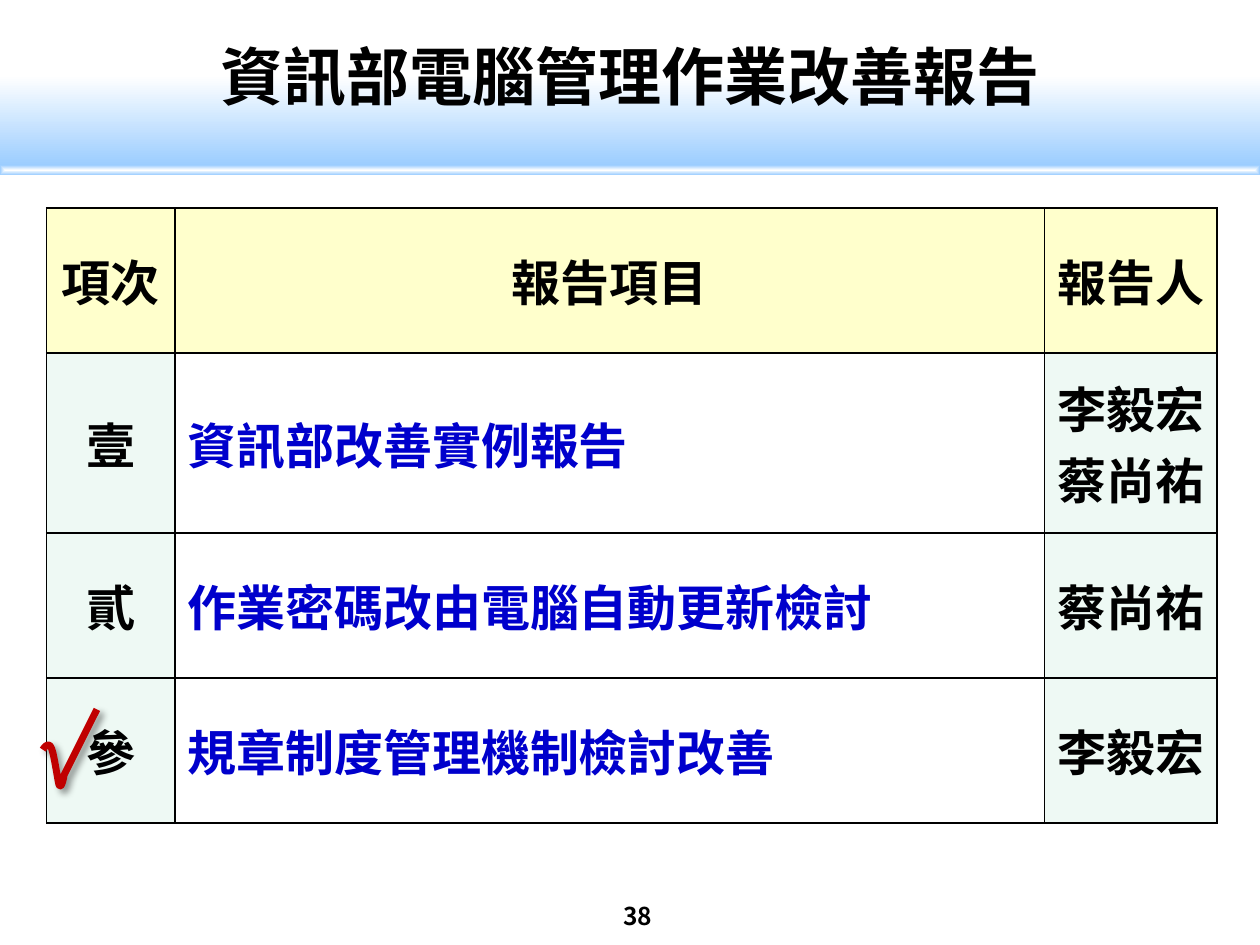
from dataclasses import dataclass

from lxml.etree import SubElement
from pptx import Presentation
from pptx.dml.color import RGBColor
from pptx.enum.shapes import MSO_SHAPE
from pptx.enum.text import MSO_ANCHOR, PP_ALIGN
from pptx.oxml import parse_xml
from pptx.oxml.ns import qn
from pptx.util import Pt

FONT = "Noto Sans CJK SC"
DRAWING = 'xmlns:a="http://schemas.openxmlformats.org/drawingml/2006/main"'
BLACK, WHITE, SKY, BLUE = "000000", "FFFFFF", "99CCFF", "0000CC"
CREAM, MINT, RED = "FFFFCC", "EEF9F4", "C00000"
COLUMN_WIDTHS = (73.4, 496.8, 98.7)
ROW_HEIGHTS = (82.8, 103, 82.8, 82.8)


@dataclass
class Report:
    number: str
    topic: str
    speakers: str


HEADINGS = ("項次", "報告項目", "報告人")
REPORTS = (
    Report("壹", "資訊部改善實例報告", "李毅宏\n蔡尚祐"),
    Report("貳", "作業密碼改由電腦自動更新檢討", "蔡尚祐"),
    Report("參", "規章制度管理機制檢討改善", "李毅宏"),
)


def color(value: str) -> RGBColor:
    return RGBColor.from_string(value)


def write(frame, text: str, *, size: float, ink: str = BLACK, align=PP_ALIGN.CENTER) -> None:
    frame.word_wrap = True
    for index, line in enumerate(text.split("\n")):
        para = frame.paragraphs[0] if index == 0 else frame.add_paragraph()
        para.alignment = align
        span = para.add_run()
        span.text = line
        span.font.size = Pt(size)
        span.font.bold = True
        span.font.name = FONT
        span.font.color.rgb = color(ink)
        SubElement(span.font._element, qn("a:ea"), typeface=FONT)


def add_label(page, text: str, left, top, width, height, *, size: float, anchor) -> None:
    box = page.shapes.add_textbox(Pt(left), Pt(top), Pt(width), Pt(height))
    frame = box.text_frame
    frame.margin_left = frame.margin_right = frame.margin_top = frame.margin_bottom = 0
    frame.vertical_anchor = anchor
    write(frame, text, size=size)


def add_band(page, top: float, height: float, *, from_center: bool = False) -> None:
    band = page.shapes.add_shape(MSO_SHAPE.RECTANGLE, 0, Pt(top), Pt(720), Pt(height))
    band.shadow.inherit = False
    band.line.fill.background()
    band.fill.gradient()
    band.fill.gradient_angle = 270
    for stop, shade, position in zip(band.fill.gradient_stops, (WHITE, SKY), (0, 1)):
        stop.color.rgb = color(shade)
        stop.position = position
    if from_center:
        linear = band._element.spPr.find(f".//{qn('a:lin')}")
        linear.getparent().replace(linear, parse_xml(
            f'<a:path {DRAWING} path="shape">'
            '<a:fillToRect l="50000" t="50000" r="50000" b="50000"/></a:path>'))


def fill_cell(cell, text: str, *, fill: str, ink: str = BLACK, align=PP_ALIGN.CENTER) -> None:
    properties = cell._tc.get_or_add_tcPr()
    for side in "LRTB":
        properties.append(parse_xml(
            f'<a:ln{side} {DRAWING} w="{Pt(1)}"><a:solidFill>'
            f'<a:srgbClr val="{BLACK}"/></a:solidFill></a:ln{side}>'))
    cell.fill.solid()
    cell.fill.fore_color.rgb = color(fill)
    cell.vertical_anchor = MSO_ANCHOR.MIDDLE
    write(cell.text_frame, text, size=28, ink=ink, align=align)


def add_agenda(page) -> None:
    table = page.shapes.add_table(
        len(ROW_HEIGHTS), len(COLUMN_WIDTHS), Pt(26.6), Pt(118.8),
        Pt(sum(COLUMN_WIDTHS)), Pt(sum(ROW_HEIGHTS))).table
    table.first_row = table.horz_banding = False
    for column, width in zip(table.columns, COLUMN_WIDTHS):
        column.width = Pt(width)
    for row, height in zip(table.rows, ROW_HEIGHTS):
        row.height = Pt(height)
    for index, heading in enumerate(HEADINGS):
        fill_cell(table.cell(0, index), heading, fill=CREAM)
    for index, report in enumerate(REPORTS, 1):
        fill_cell(table.cell(index, 0), report.number, fill=MINT)
        fill_cell(table.cell(index, 1), report.topic, fill=WHITE, ink=BLUE, align=PP_ALIGN.LEFT)
        fill_cell(table.cell(index, 2), report.speakers, fill=MINT)


def curve(start, first, second, end, steps: int = 10) -> list:
    points = []
    for step in range(1, steps + 1):
        t = step / steps
        u = 1 - t
        points.append(tuple(
            u**3 * a + 3 * u * u * t * b + 3 * u * t * t * c + t**3 * d
            for a, b, c, d in zip(start, first, second, end)))
    return points


def add_check_mark(page) -> None:
    start, crest, base, turn, tip = (
        (24.5, 428.4), (29.5, 427.7), (33.8, 448.6), (36.7, 442.8), (55.4, 405.4))
    points = (curve(start, (25.9, 426.2), (28.1, 424.1), crest)
              + curve(crest, (31, 431.3), (33.1, 446.4), base)
              + curve(base, (35.3, 451.4), (36.7, 442.8), turn) + [tip])
    builder = page.shapes.build_freeform(Pt(start[0]), Pt(start[1]))
    builder.add_line_segments([(Pt(x), Pt(y)) for x, y in points], close=False)
    mark = builder.convert_to_shape()
    mark.fill.background()
    mark.line.color.rgb = color(RED)
    mark.line.width = Pt(4)
    mark.shadow.inherit = False
    effects = mark._element.spPr.find(qn("a:effectLst"))
    effects.append(parse_xml(
        f'<a:outerShdw {DRAWING} blurRad="{Pt(4)}" dist="{Pt(3)}" dir="2700000">'
        f'<a:srgbClr val="{BLACK}"><a:alpha val="40000"/></a:srgbClr></a:outerShdw>'))


def main() -> None:
    """Build the agenda slide and save it."""
    deck = Presentation()
    deck.slide_width, deck.slide_height = Pt(720), Pt(540)
    page = deck.slides.add_slide(deck.slide_layouts[6])
    page.background.fill.solid()
    page.background.fill.fore_color.rgb = color(WHITE)
    add_band(page, 43.2, 52.6)
    add_band(page, 94.3, 5.8, from_center=True)
    add_label(page, "38", 330.5, 515, 67.7, 17.3, size=14, anchor=MSO_ANCHOR.TOP)
    add_agenda(page)
    add_check_mark(page)
    add_label(page, "資訊部電腦管理作業改善報告", 0, 20.9, 720, 43.9,
              size=36, anchor=MSO_ANCHOR.MIDDLE)
    deck.save("out.pptx")


if __name__ == "__main__":
    main()
